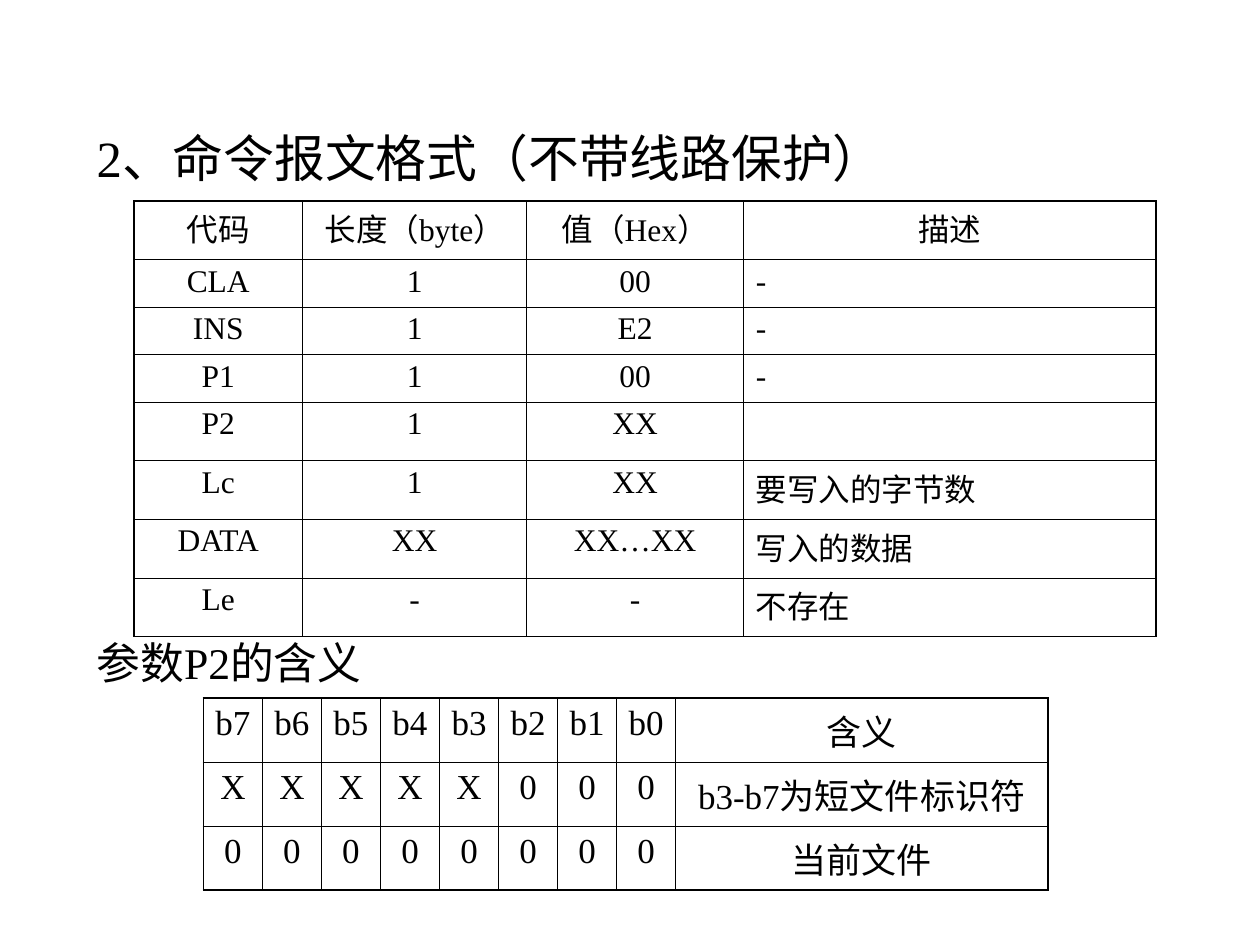
"""Build the slide that explains the command message format and parameter P2."""
from lxml import etree
from pptx import Presentation
from pptx import util as u
from pptx.dml.color import RGBColor
from pptx.enum import text
from pptx.oxml import ns

BLACK = RGBColor(0x00, 0x00, 0x00)
FONT = "Times New Roman"
OUTER, INNER = u.Pt(1.08), u.Pt(0.45)

COMMAND_FIELDS = [
    ("代码", "长度（byte）", "值（Hex）", "描述"),
    ("CLA", "1", "00", "-"),
    ("INS", "1", "E2", "-"),
    ("P1", "1", "00", "-"),
    ("P2", "1", "XX", ""),
    ("Lc", "1", "XX", "要写入的字节数"),
    ("DATA", "XX", "XX…XX", "写入的数据"),
    ("Le", "-", "-", "不存在"),
]
P2_MEANINGS = [
    [f"b{bit}" for bit in range(7, -1, -1)] + ["含义"],
    [*"XXXXX000", "b3-b7为短文件标识符"],
    [*"00000000", "当前文件"],
]


def style(paragraph, size, align=text.PP_ALIGN.LEFT):
    paragraph.alignment = align
    paragraph.font.name = FONT
    paragraph.font.size = u.Pt(size)
    paragraph.font.color.rgb = BLACK


def add_heading(slide, wording, top, size):
    box = slide.shapes.add_textbox(u.Cm(1.7), u.Cm(top), u.Cm(20.8), u.Cm(1.6))
    box.text_frame.word_wrap = True
    box.text_frame.text = wording
    style(box.text_frame.paragraphs[0], size)


def add_border(cell, side, width):
    properties = cell._tc.get_or_add_tcPr()
    line = etree.SubElement(properties, ns.qn(f"a:ln{side}"), w=str(width))
    fill = etree.SubElement(line, ns.qn("a:solidFill"))
    etree.SubElement(fill, ns.qn("a:srgbClr"), val=str(BLACK))


def add_grid(slide, rows, left, top, widths, heights, size, margins, left_aligned=()):
    """Add a table with thin inner rules and a heavier frame."""
    frame = slide.shapes.add_table(
        len(rows), len(widths), u.Cm(left), u.Cm(top),
        u.Cm(sum(widths)), u.Cm(sum(heights)))
    table = frame.table
    table.first_row = table.horz_banding = False
    for column, width in zip(table.columns, widths):
        column.width = u.Cm(width)
    for row, height in zip(table.rows, heights):
        row.height = u.Cm(height)
    side_margin, end_margin = margins
    last_row, last_column = len(rows) - 1, len(widths) - 1
    for r, entries in enumerate(rows):
        for c, entry in enumerate(entries):
            cell = table.cell(r, c)
            cell.margin_left = cell.margin_right = u.Cm(side_margin)
            cell.margin_top = cell.margin_bottom = u.Cm(end_margin)
            edges = {"L": c == 0, "R": c == last_column,
                     "T": r == 0, "B": r == last_row}
            for side, is_outer in edges.items():
                add_border(cell, side, OUTER if is_outer else INNER)
            cell.fill.background()
            cell.text = entry
            is_left = r > 0 and c in left_aligned
            align = text.PP_ALIGN.LEFT if is_left else text.PP_ALIGN.CENTER
            style(cell.text_frame.paragraphs[0], size, align)


def main():
    deck = Presentation()
    deck.slide_width, deck.slide_height = u.Cm(25.4), u.Cm(19.05)
    slide = deck.slides.add_slide(deck.slide_layouts[6])
    add_heading(slide, "2、命令报文格式（不带线路保护）", 2.44, 29)
    add_grid(slide, COMMAND_FIELDS, 2.7, 4.05, [3.4, 4.52, 4.37, 8.31],
             [1.18] + [0.96] * 3 + [1.18] * 4, 18, (0.25, 0.09), left_aligned=(3,))
    add_grid(slide, P2_MEANINGS, 4.1, 14.07, [1.19] * 8 + [7.5],
             [1.29] * 3, 20, (0.1, 0.13))
    add_heading(slide, "参数P2的含义", 12.7, 25)
    deck.save("out.pptx")


if __name__ == "__main__":
    main()
